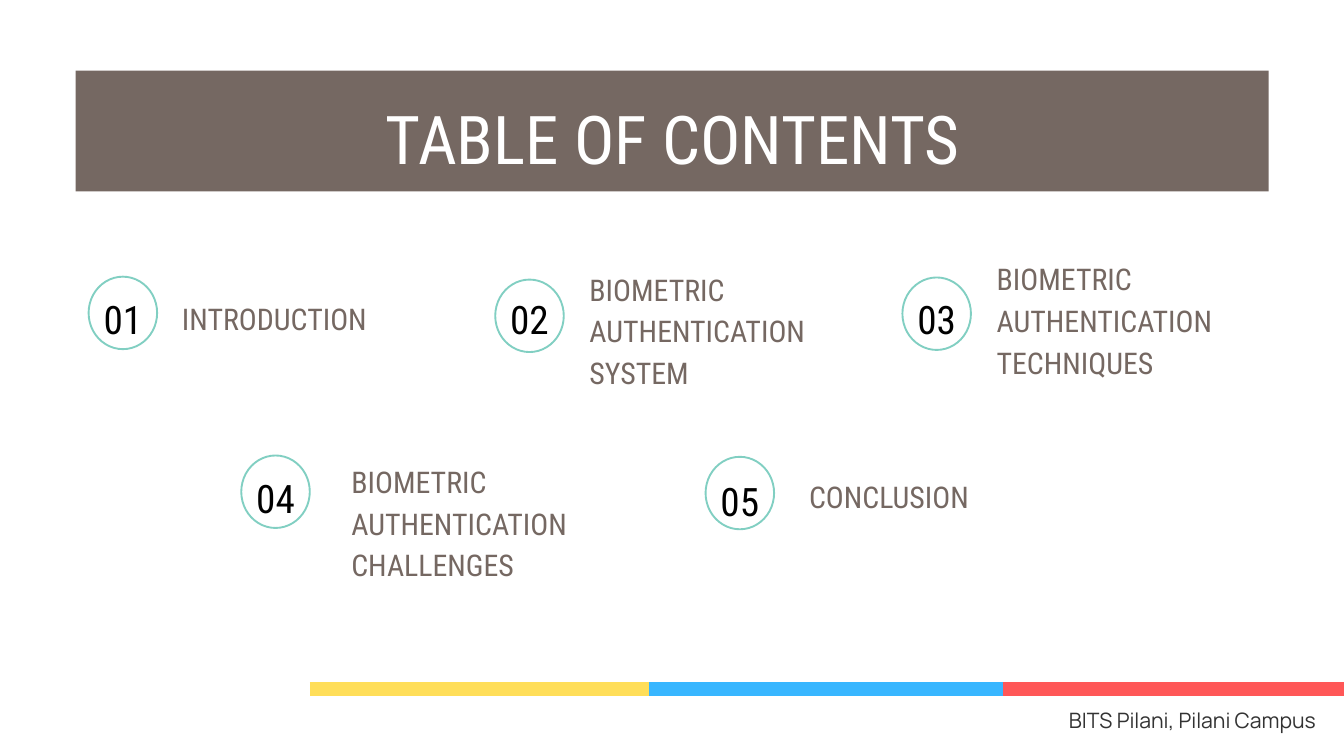
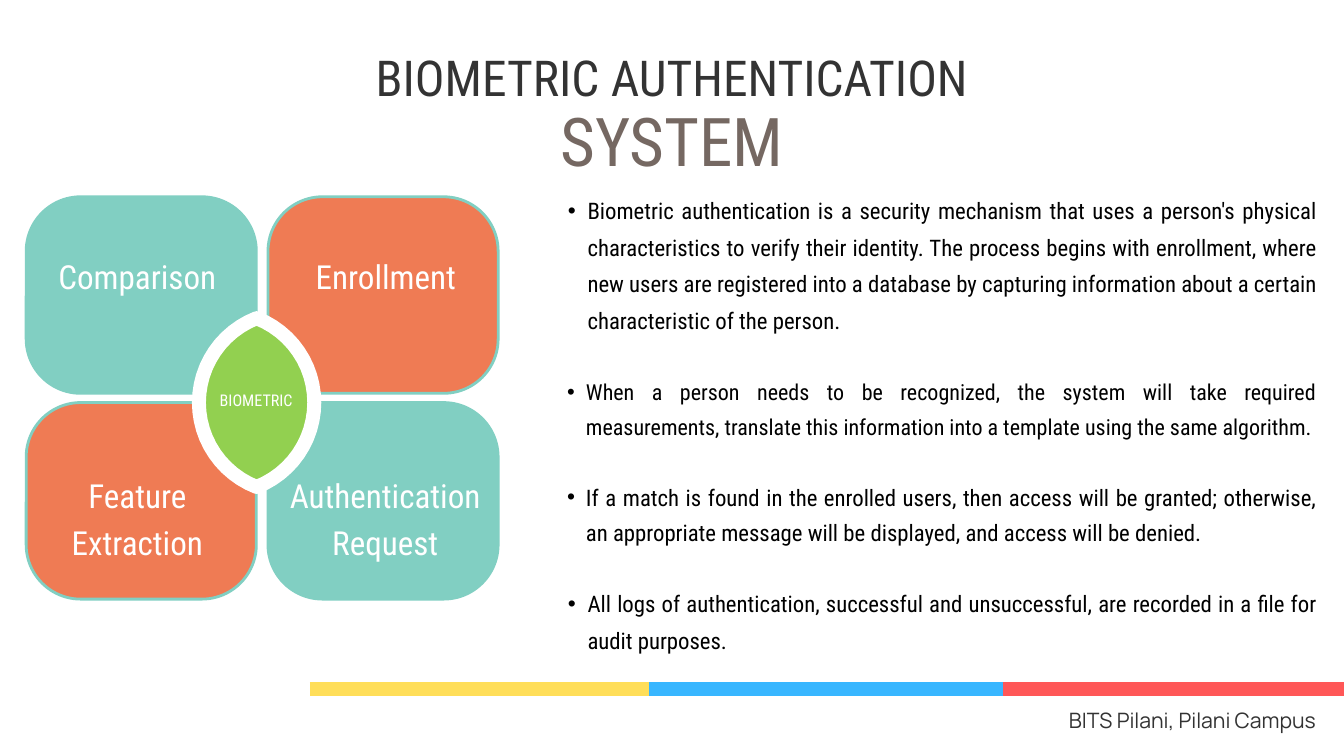
from dataclasses import dataclass
from math import asin, cos, hypot, sin

from lxml.etree import SubElement
from pptx import Presentation
from pptx.dml.color import RGBColor
from pptx.enum.shapes import MSO_CONNECTOR, MSO_SHAPE
from pptx.enum.text import MSO_ANCHOR, MSO_AUTO_SIZE, PP_ALIGN
from pptx.oxml.ns import qn
from pptx.util import Cm, Pt


@dataclass(frozen=True)
class Theme:
    font: str = "Roboto Condensed"
    footer_font: str = "Manrope"
    white: str = "FFFFFF"
    black: str = "000000"
    dark: str = "333333"
    taupe: str = "756862"
    teal: str = "81CFC2"
    orange: str = "EF7B54"
    green: str = "92D050"
    title_size: float = 72
    lead_size: float = 53
    number_size: float = 42
    petal_size: float = 35.5
    label_size: float = 32
    footer_size: float = 22.7
    core_size: float = 17.3
    leading: float = 1.4


THEME = Theme()
SLIDE_SIZE = (50.8, 28.58)

FOOTER = "BITS Pilani, Pilani Campus"
FOOTER_BOX = (39.37, 26.59, 11.4, 1.19)
STRIPE_TOP = 26.06
STRIPE_START = 11.71
STRIPES = [("FFDE59", 24.54), ("38B6FF", 37.9), ("FF5757", 50.8)]

CONTENTS_TITLE = "TABLE OF CONTENTS"
BAND_BOX = (2.86, 2.67, 45.09, 4.57)
CIRCLE_SIZE = (2.59, 2.74)
LABEL_SIZE = (9.68, 4.67)
CONTENTS = [
    ("01", (3.35, 10.46), 10.85, "INTRODUCTION", (6.88, 11.13)),
    ("02", (18.72, 10.57), 10.85, "BIOMETRIC AUTHENTICATION SYSTEM", (22.28, 10.03)),
    ("03", (34.11, 10.49), 10.85, "BIOMETRIC AUTHENTICATION TECHNIQUES", (37.67, 9.63)),
    ("04", (9.12, 17.22), 17.63, "BIOMETRIC AUTHENTICATION\nCHALLENGES", (13.28, 17.3)),
    ("05", (26.67, 17.27), 17.73, "CONCLUSION", (30.58, 17.88)),
]

SYSTEM_LEAD = "BIOMETRIC AUTHENTICATION"
SYSTEM_TITLE = "SYSTEM"
PETAL_ORIGIN = (0.99, 7.44)
PETAL_SIZE = (8.7, 7.43)
PETAL_STEP = (9.14, 7.78)
PETAL_RADIUS = 2.06
PETALS = [
    ("Comparison", 0, 0, THEME.teal, (1.5, 9.45, 7.39, 1.7)),
    ("Enrollment", 1, 0, THEME.orange, (11.53, 9.45, 6.12, 1.7)),
    ("Feature Extraction", 0, 1, THEME.orange, (1.5, 17.73, 7.39, 3.45)),
    ("Authentication Request", 1, 1, THEME.teal, (10.87, 17.73, 7.39, 3.45)),
]
CORE = "BIOMETRIC"
CORE_CENTER = (9.7, 15.22)
CORE_HALF = (2.18, 3.19)
CORE_STEPS = 24
CORE_BOX = (6.32, 14.63, 6.73, 0.79)

BULLETS_BOX = (20.73, 7.11, 29.03, 19)
BULLETS = [
    ("Biometric authentication is a security mechanism that uses a person's physical "
     "characteristics to verify their identity. The process begins with enrollment, where "
     "new users are registered into a database by capturing information about a certain "
     "characteristic of the person.", 24.4, 39, 0, 0.74),
    ("When a person needs to be recognized, the system will take required measurements, "
     "translate this information into a template using the same algorithm.",
     23.6, 37.7, 39, 0.71),
    ("If a match is found in the enrolled users, then access will be granted; otherwise, "
     "an appropriate message will be displayed, and access will be denied.",
     24.4, 37.7, 37.7, 0.71),
    ("All logs of authentication, successful and unsuccessful, are recorded in a file for "
     "audit purposes.", 24.4, 39, 37.7, 0.74),
]


def lengths(values):
    return [Cm(value) for value in values]


def color(value):
    return RGBColor.from_string(value)


def style_shape(shape, fill=None, line=None, width=0):
    shape.shadow.inherit = False
    if fill:
        shape.fill.solid()
        shape.fill.fore_color.rgb = color(fill)
    else:
        shape.fill.background()
    if line:
        shape.line.color.rgb = color(line)
        shape.line.width = Pt(width)
    else:
        shape.line.fill.background()


def style_paragraph(paragraph, size, ink, align, spacing, font=THEME.font):
    paragraph.alignment = align
    paragraph.line_spacing = Pt(spacing)
    paragraph.font.name = font
    paragraph.font.size = Pt(size)
    paragraph.font.bold = False
    paragraph.font.color.rgb = color(ink)


def prepare_frame(shape):
    frame = shape.text_frame
    frame.word_wrap = True
    frame.auto_size = MSO_AUTO_SIZE.NONE
    frame.vertical_anchor = MSO_ANCHOR.TOP
    frame.margin_left = frame.margin_top = frame.margin_right = frame.margin_bottom = 0
    return frame


def write_text(shape, text, size, ink, align=PP_ALIGN.CENTER, font=THEME.font):
    frame = prepare_frame(shape)
    frame.text = text
    for paragraph in frame.paragraphs:
        style_paragraph(paragraph, size, ink, align, round(size * THEME.leading, 1), font)


def add_text(slide, box, *text_style, **options):
    write_text(slide.shapes.add_textbox(*lengths(box)), *text_style, **options)


def place_title(slide, box, text, size, ink):
    title = slide.shapes.title
    title.left, title.top, title.width, title.height = lengths(box)
    write_text(title, text, size, ink)
    title.element.getparent().append(title.element)


def add_slide(presentation):
    slide = presentation.slides.add_slide(presentation.slide_layouts[5])
    start = STRIPE_START
    for stripe_color, end in STRIPES:
        stripe = slide.shapes.add_connector(
            MSO_CONNECTOR.STRAIGHT, *lengths((start, STRIPE_TOP, end, STRIPE_TOP)))
        stripe.line.color.rgb = color(stripe_color)
        stripe.line.width = Pt(15)
        SubElement(stripe.element.spPr, qn("a:effectLst"))
        start = end
    add_text(slide, FOOTER_BOX, FOOTER, THEME.footer_size, THEME.dark, font=THEME.footer_font)
    return slide


def build_contents(presentation):
    slide = add_slide(presentation)
    band = slide.shapes.add_shape(MSO_SHAPE.RECTANGLE, *lengths(BAND_BOX))
    style_shape(band, THEME.taupe)
    place_title(slide, (12.17, 3.18, 26.52, 3.43), CONTENTS_TITLE, THEME.title_size, THEME.white)
    for number, circle_place, number_top, label, label_place in CONTENTS:
        circle = slide.shapes.add_shape(MSO_SHAPE.OVAL, *lengths(circle_place + CIRCLE_SIZE))
        style_shape(circle, line=THEME.teal, width=2)
        add_text(slide, (circle_place[0], number_top, CIRCLE_SIZE[0], 2.01),
                 number, THEME.number_size, THEME.black)
        add_text(slide, label_place + LABEL_SIZE, label, THEME.label_size, THEME.taupe,
                 align=PP_ALIGN.LEFT)


def add_core(slide):
    center_x, center_y = CORE_CENTER
    half_width, half_height = CORE_HALF
    radius = hypot(half_width, half_height) ** 2 / (2 * half_width)
    sweep = asin(half_height / radius)
    angles = [sweep * (2 * step / CORE_STEPS - 1) for step in range(CORE_STEPS + 1)]
    right_side = [(radius * cos(angle) - radius + half_width, radius * sin(angle))
                  for angle in angles]
    left_side = [(-x, -y) for x, y in right_side[1:-1]]
    points = [lengths((center_x + x, center_y + y)) for x, y in right_side + left_side]
    builder = slide.shapes.build_freeform(*points[0])
    builder.add_line_segments(points[1:], close=True)
    style_shape(builder.convert_to_shape(), THEME.green, THEME.white, 15)
    add_text(slide, CORE_BOX, CORE, THEME.core_size, THEME.white)


def add_bullets(slide):
    frame = prepare_frame(slide.shapes.add_textbox(*lengths(BULLETS_BOX)))
    for index, (text, size, spacing, gap, hang) in enumerate(BULLETS):
        paragraph = frame.add_paragraph() if index else frame.paragraphs[0]
        paragraph.text = text
        properties = paragraph._p.get_or_add_pPr()
        properties.set("marL", str(Cm(2 * hang)))
        properties.set("indent", str(-Cm(hang)))
        SubElement(properties, qn("a:buFont"), typeface="Arial")
        SubElement(properties, qn("a:buChar"), char="•")
        if gap:
            paragraph.space_before = Pt(gap)
        style_paragraph(paragraph, size, THEME.black, PP_ALIGN.JUSTIFY, spacing)


def build_system(presentation):
    slide = add_slide(presentation)
    add_text(slide, (12.14, 3.25, 26.52, 3.43), SYSTEM_TITLE, THEME.title_size, THEME.taupe)
    place_title(slide, (12.98, 1.42, 24.84, 2.54), SYSTEM_LEAD, THEME.lead_size, THEME.dark)
    for _, column, row, fill, _ in PETALS:
        left = PETAL_ORIGIN[0] + column * PETAL_STEP[0]
        top = PETAL_ORIGIN[1] + row * PETAL_STEP[1]
        petal = slide.shapes.add_shape(
            MSO_SHAPE.ROUNDED_RECTANGLE, *lengths((left, top) + PETAL_SIZE))
        petal.adjustments[0] = PETAL_RADIUS / min(PETAL_SIZE)
        style_shape(petal, fill, THEME.teal, 3)
    add_core(slide)
    for name, _, _, _, box in PETALS:
        add_text(slide, box, name, THEME.petal_size, THEME.white)
    add_bullets(slide)


def main():
    presentation = Presentation()
    presentation.slide_width, presentation.slide_height = lengths(SLIDE_SIZE)
    build_contents(presentation)
    build_system(presentation)
    presentation.save("out.pptx")


if __name__ == "__main__":
    main()
